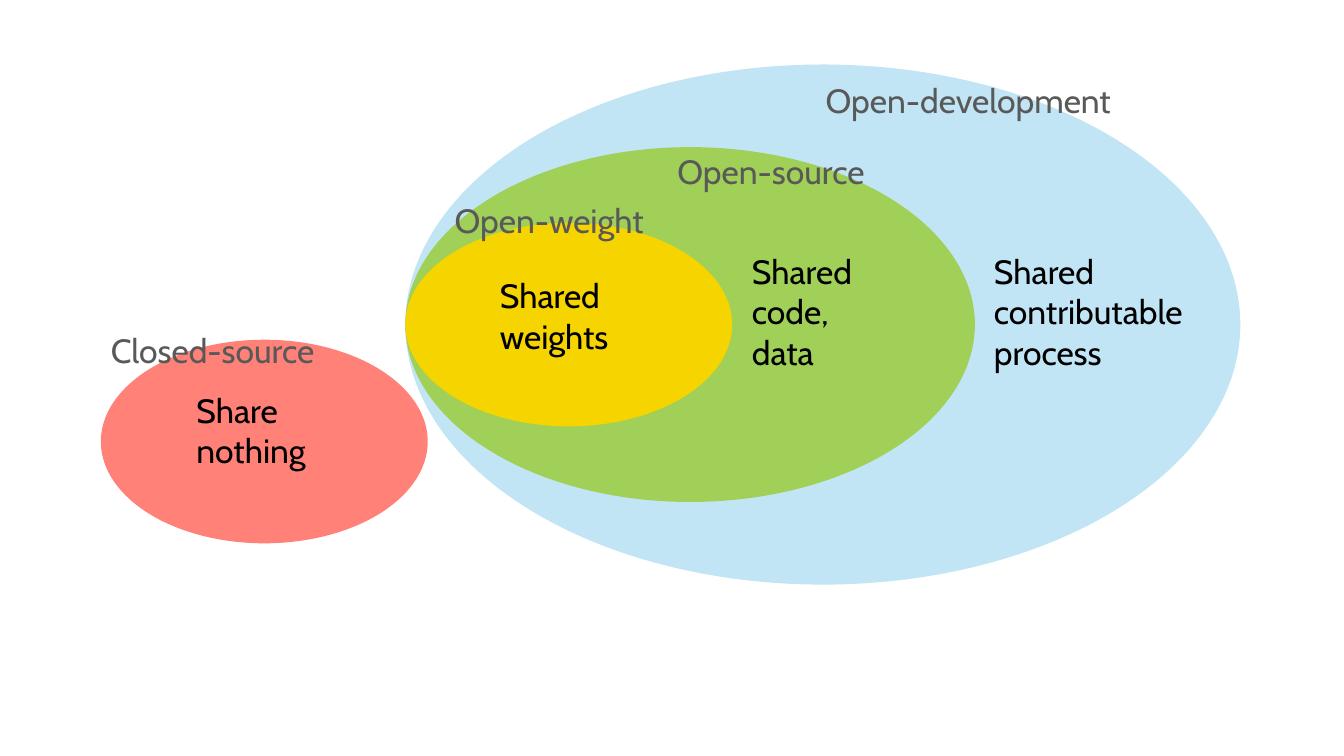
from pptx import Presentation
from pptx import util as u
from pptx.dml.color import RGBColor
from pptx.enum import shapes, text

deck = Presentation()
deck.slide_width, deck.slide_height = u.Inches(13.33), u.Inches(7.5)
slide = deck.slides.add_slide(deck.slide_layouts[6])
col = deck.slide_width / 133.3
row = deck.slide_height / 75


def place(x, y, w, h):
    return [round(n) for n in (x * col, y * row, w * col, h * row)]


def paint(part, tint):
    part.rgb = RGBColor.from_string(tint)


ratio = 1.605
inner = 20.2
nest = 40.2
mid = 32.2
ovals = [
    (10, 43.8, inner, "FF8177"),
    (nest, mid, 51.6, "C1E5F5"),
    (nest, mid, 35.2, "A0D057"),
    (nest, mid, inner, "F5D400"),
]
for left, axis, high, tint in ovals:
    oval = slide.shapes.add_shape(
        shapes.MSO_SHAPE.OVAL, *place(left, axis - high / 2, high * ratio, high))
    oval.shadow.inherit = False
    oval.fill.solid()
    paint(oval.fill.fore_color, tint)
    oval.line.fill.background()

black, grey = "000000", "595959"
labels = [
    (18.5, 38.2, 15.4, black, "Share\nnothing"),
    (10, 32.2, 27.9, grey, "Closed-source"),
    (48.6, 26.8, 15.7, black, "Shared\nweights"),
    (73.6, 24.4, 14.6, black, "Shared\ncode,\ndata"),
    (97.6, 24.4, 25.8, black, "Shared\ncontributable\nprocess"),
    (66.2, 14.5, 25.1, grey, "Open-source"),
    (44.1, 19.3, 24.6, grey, "Open-weight"),
    (80.9, 7.4, 36.8, grey, "Open-development"),
]
frame = {"word_wrap": False, "auto_size": text.MSO_AUTO_SIZE.SHAPE_TO_FIT_TEXT}
font = {"name": "Cabin", "size": u.Pt(24)}
for left, top, wide, tint, words in labels:
    high = 6 + 4.8 * words.count("\n")
    box = slide.shapes.add_textbox(*place(left, top, wide, high)).text_frame
    box.text = words
    for key, val in frame.items():
        setattr(box, key, val)
    for para in box.paragraphs:
        for run in para.runs:
            for key, val in font.items():
                setattr(run.font, key, val)
            paint(run.font.color, tint)

deck.save("out.pptx")
